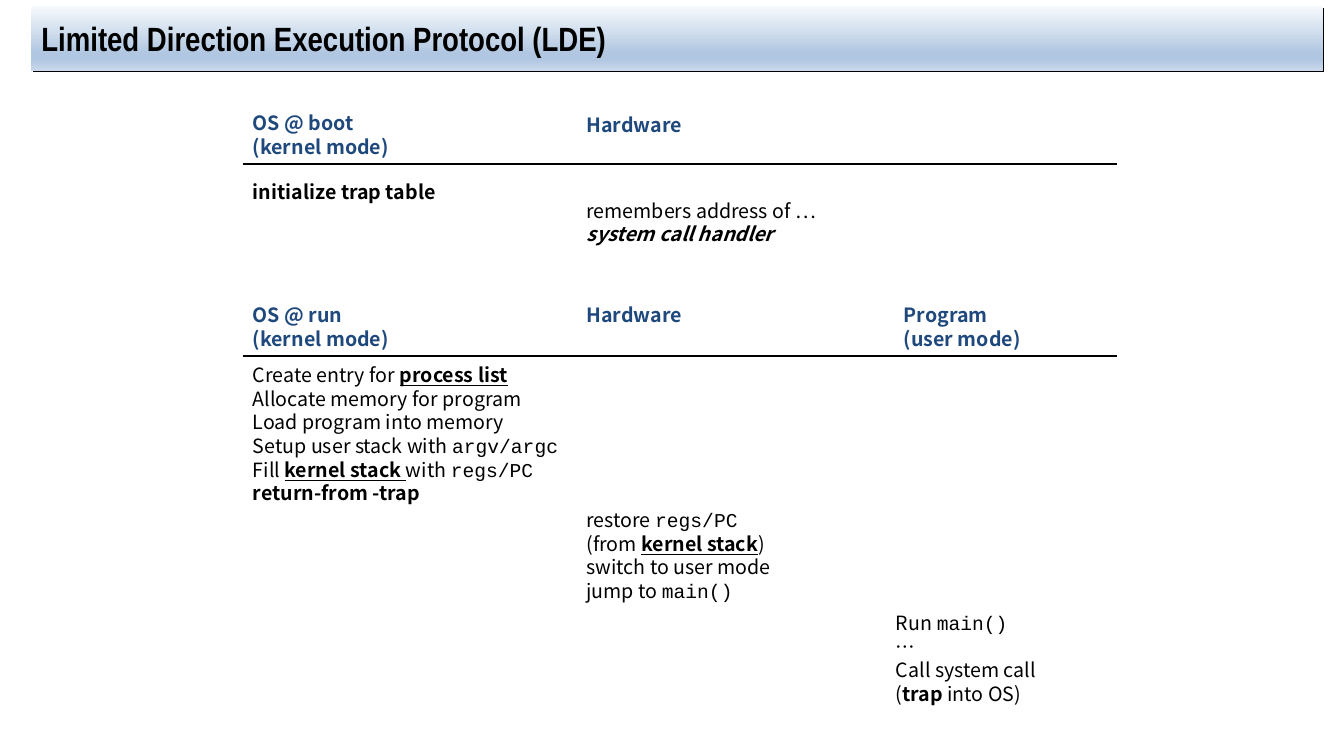
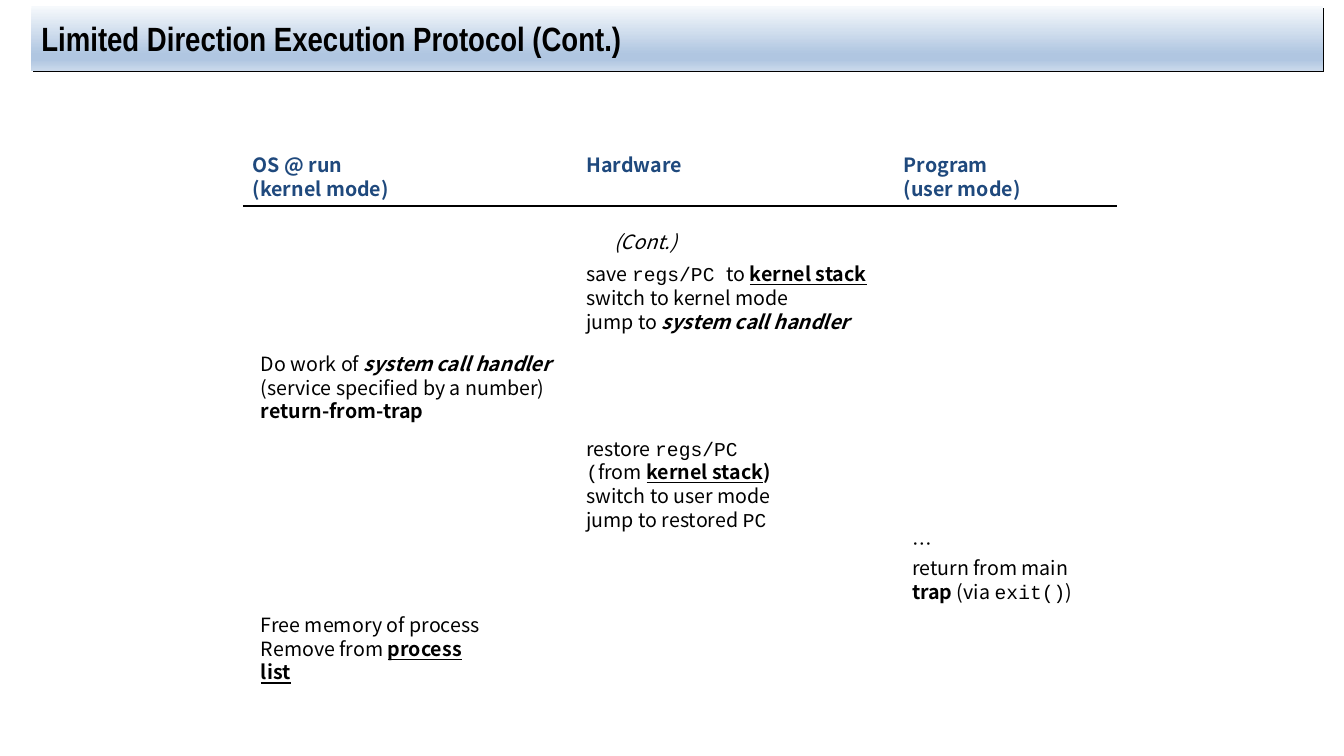
from lxml.etree import SubElement
from pptx import Presentation
from pptx.dml.color import RGBColor
from pptx.enum.shapes import MSO_CONNECTOR, MSO_SHAPE
from pptx.enum.text import MSO_ANCHOR, MSO_AUTO_SIZE, PP_ALIGN
from pptx.oxml import parse_xml
from pptx.oxml.ns import nsdecls, qn
from pptx.util import Pt

BLACK = RGBColor(0, 0, 0)
NAVY = RGBColor(0x1F, 0x49, 0x7D)
BAND = [(0, RGBColor(0xF6, 0xF9, 0xFC)), (74, RGBColor(0xB0, 0xC6, 0xE1)),
        (83, RGBColor(0xB0, 0xC6, 0xE1)), (100, RGBColor(0xCA, 0xD9, 0xEB))]
SANS, MONO, NARROW = "Noto Sans CJK KR", "Courier New", "Arial Narrow"

# Column edges, the end of the rules and the line pitch, in points
OS, HARD, PROG, END = 173.5, 411.8, 638.6, 797.8
STEP = 16.9


class Deck:
    """Holds the style and the current slide."""

    def __init__(self):
        self.file = Presentation()
        self.file.slide_width, self.file.slide_height = Pt(960), Pt(540)
        self.slide = None

    def page(self, title):
        """Start a slide with its title band."""
        self.slide = self.file.slides.add_slide(self.file.slide_layouts[6])
        band = self.slide.shapes.add_shape(
            MSO_SHAPE.RECTANGLE, Pt(22.5), Pt(4.5), Pt(922.5), Pt(46))
        band.line.fill.background()
        stops = "".join(
            f'<a:gs pos="{pos * 1000}"><a:srgbClr val="{tint}"/></a:gs>'
            for pos, tint in BAND)
        band.fill.background()
        props = band._element.spPr
        props.replace(props.find(qn("a:noFill")), parse_xml(
            f'<a:gradFill {nsdecls("a")} rotWithShape="1"><a:gsLst>{stops}'
            '</a:gsLst><a:lin ang="5400000" scaled="0"/></a:gradFill>'))
        props.append(parse_xml(
            f'<a:effectLst {nsdecls("a")}><a:outerShdw dist="17780" '
            f'dir="2700000"><a:srgbClr val="{BLACK}"/></a:outerShdw>'
            '</a:effectLst>'))
        frame = band.text_frame
        frame.vertical_anchor = MSO_ANCHOR.MIDDLE
        para = frame.paragraphs[0]
        para.text, para.alignment = title, PP_ALIGN.LEFT
        self.font(para.font, NARROW, 24, BLACK, True)

    def font(self, font, name, size, tint, bold=False):
        font.name, font.size, font.bold = name, Pt(size), bold
        font.color.rgb = tint

    def text(self, left, top, width, lines, tint=BLACK, bold=False,
             align=PP_ALIGN.LEFT, wraps=0):
        """Add lines of runs; a run is a string or (string, marks b i u m)."""
        high = 7.2 + STEP * (len(lines) + wraps)
        box = self.slide.shapes.add_textbox(
            Pt(left), Pt(top), Pt(width), Pt(high))
        frame = box.text_frame
        frame.word_wrap = True
        frame.auto_size = MSO_AUTO_SIZE.SHAPE_TO_FIT_TEXT
        for row, line in enumerate(lines):
            para = frame.add_paragraph() if row else frame.paragraphs[0]
            para.alignment, para.line_spacing = align, Pt(STEP)
            self.font(para.font, SANS, 14, tint, bold)
            for part in [line] if isinstance(line, str) else line:
                words, marks = (part, "") if isinstance(part, str) else part
                run = para.add_run()
                run.text = words
                self.mark(run.font, marks)

    def mark(self, font, marks):
        """Apply the marks of one run."""
        if "b" in marks:
            font.bold = True
        if "i" in marks:
            font.italic = True
        if "u" in marks:
            font.underline = True
        if "m" in marks:
            font.name = MONO

    def heads(self, top, heads, drop=0):
        """Add column heads above a rule; drop lowers the second head."""
        for left, shift, lines in zip((OS, HARD, PROG), (0, drop, 0), heads):
            self.text(left, top + shift, 136, lines, NAVY, True)
        self.rule(top + 41.3)

    def rule(self, top):
        line = self.slide.shapes.add_connector(
            MSO_CONNECTOR.STRAIGHT, Pt(OS), Pt(top), Pt(END), Pt(top))
        line.line.color.rgb, line.line.width = BLACK, Pt(1)
        SubElement(line._element.spPr, qn("a:effectLst"))


BOOT = ["OS @ boot", "(kernel mode)"]
RUN = ["OS @ run", "(kernel mode)"]
CHIP = ["Hardware"]
USER = ["Program", "(user mode)"]
STACK = ("kernel stack", "bu")
CALL = ("system call handler", "bi")
REGS = ("regs/PC", "m")
MAIN = ("main()", "m")


def first(deck):
    deck.page("Limited Direction Execution Protocol (LDE)")
    # Boot
    deck.heads(75.8, [BOOT, CHIP], drop=1.4)
    deck.text(OS, 124.6, 182, ["initialize trap table"], bold=True)
    deck.text(HARD, 138.2, 182, ["remembers address of …", [CALL]])
    # Run
    deck.heads(213.1, [RUN, CHIP, USER])
    deck.text(OS, 255.6, 249, [
        ["Create entry for ", ("process list", "bu")],
        "Allocate memory for program",
        "Load program into memory",
        ["Setup user stack with ", ("argv/argc", "m")],
        ["Fill ", STACK, (" ", "u"), "with ", REGS],
        [("return-from -trap", "b")]])
    deck.text(HARD, 359.3, 244, [
        ["restore ", REGS], ["(from ", STACK, ")"],
        "switch to user mode", ["jump to ", MAIN]])
    deck.text(632.9, 432.7, 181.5, [
        ["Run ", MAIN], "…", "Call system call",
        ["(", ("trap", "b"), " into OS)"]])


def second(deck):
    inner = 179.3
    deck.page("Limited Direction Execution Protocol (Cont.)")
    deck.heads(105.8, [RUN, CHIP, USER])
    # Trap into the kernel
    deck.text(414, 160.6, 94.3, [[("(Cont.)", "i")]], align=PP_ALIGN.CENTER)
    deck.text(HARD, 183.6, 215.3, [
        ["save ", ("regs/PC ", "m"), "to ", STACK],
        "switch to kernel mode", ["jump to ", CALL]])
    deck.text(inner, 247.7, 232.6, [
        ["Do work of ", CALL, " (service specified by a number)"],
        [("return-from-trap", "b")]], wraps=1)
    # Return to the program and exit
    deck.text(HARD, 308.2, 215.3, [
        ["restore ", REGS], [("(", "m"), "from ", STACK, (")", "b")],
        "switch to user mode", ["jump to restored ", ("PC", "m")]])
    deck.text(644.4, 376.6, 181.5, [
        "…", "return from main",
        [("trap", "b"), " (via ", ("exit()", "m"), ")"]])
    deck.text(inner, 434.2, 181.5, [
        "Free memory of process",
        ["Remove from ", ("process list", "bu"), " "]], wraps=1)


def main():
    deck = Deck()
    first(deck)
    second(deck)
    deck.file.save("out.pptx")


if __name__ == "__main__":
    main()
